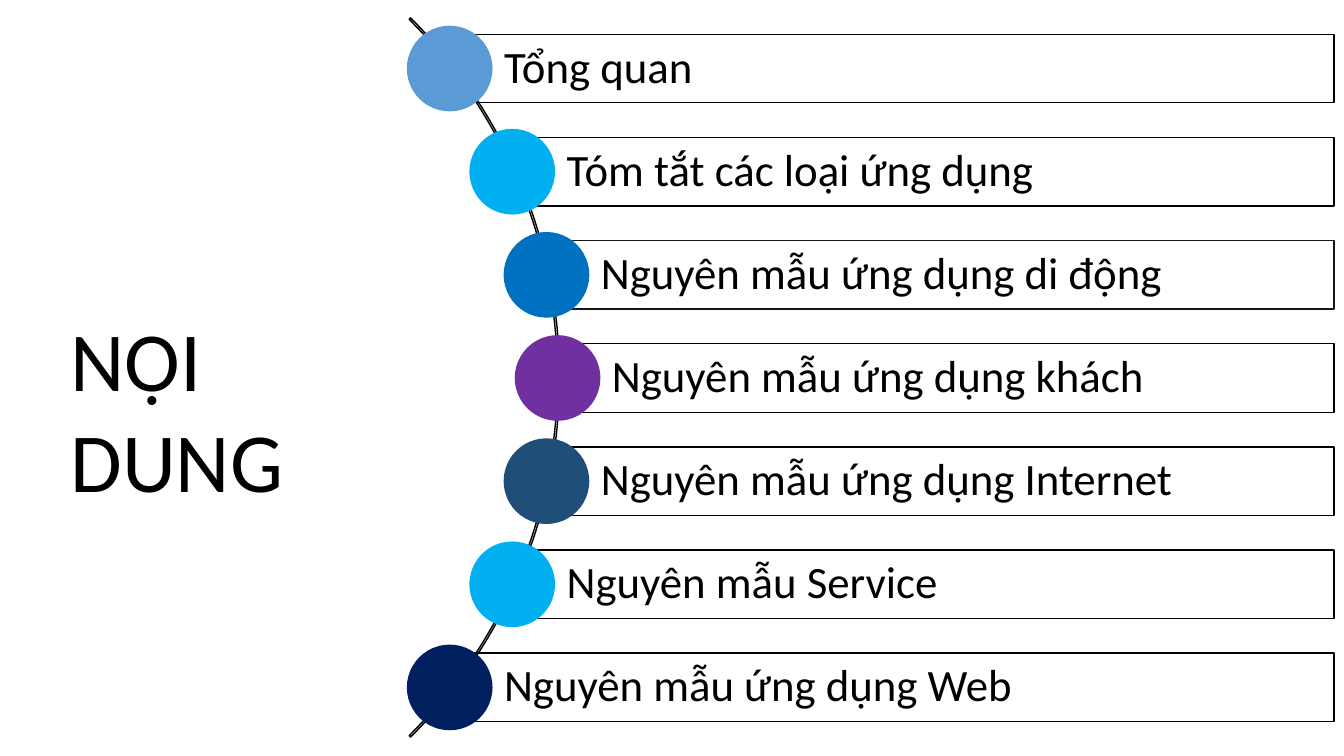
from pptx import Presentation
from pptx.dml.color import RGBColor
from pptx.enum.shapes import MSO_SHAPE
from pptx.enum.text import MSO_ANCHOR, MSO_AUTO_SIZE, PP_ALIGN
from pptx.util import Inches, Pt

COLORS = {
    "black": "000000",
    "ink": "181717",
    "steel": "5B9BD5",
    "sky": "00B0F0",
    "blue": "0070C0",
    "plum": "7030A0",
    "slate": "1F4E79",
    "navy": "002060",
}
TOPICS = [
    ("Tổng quan", "steel", "black"),
    ("Tóm tắt các loại ứng dụng", "sky", "black"),
    ("Nguyên mẫu ứng dụng di động", "blue", "ink"),
    ("Nguyên mẫu ứng dụng khách", "plum", "black"),
    ("Nguyên mẫu ứng dụng Internet", "slate", "black"),
    ("Nguyên mẫu Service", "sky", "black"),
    ("Nguyên mẫu ứng dụng Web", "navy", "black"),
]
# Left edge of a bar by its distance from the middle row
LEFTS = [5.53, 5.42, 5.08, 4.46]
RIGHT = 13.23
PITCH = 6.14 / 6
BAR = 0.68
DOT = 0.85


def add_shape(kind, left, top, width, height, fill=None, line=None):
    shape = slide.shapes.add_shape(
        kind, Inches(left), Inches(top), Inches(width), Inches(height))
    shape.shadow.inherit = False
    if fill:
        shape.fill.solid()
        shape.fill.fore_color.rgb = RGBColor.from_string(COLORS[fill])
    else:
        shape.fill.background()
    if line:
        shape.line.color.rgb = RGBColor.from_string(COLORS[line])
        shape.line.width = Pt(1)
    else:
        shape.line.fill.background()
    return shape


def set_text(frame, text, size):
    frame.word_wrap = True
    frame.text = text
    para = frame.paragraphs[0]
    para.alignment = PP_ALIGN.LEFT
    font = para.runs[0].font
    font.name = "Calibri"
    font.size = Pt(size)
    font.color.rgb = RGBColor.from_string(COLORS["black"])


deck = Presentation()
deck.slide_width = Inches(13.33)
deck.slide_height = Inches(7.5)
slide = deck.slides.add_slide(deck.slide_layouts[6])

title = slide.shapes.add_textbox(
    Inches(0.6), Inches(3), Inches(3.78), Inches(1.11))
set_text(title.text_frame, "NỘI DUNG", 60)
title.text_frame.auto_size = MSO_AUTO_SIZE.SHAPE_TO_FIT_TEXT

arc = add_shape(MSO_SHAPE.BLOCK_ARC, -4.54, -1.3, 10.09, 10.09, line="black")
for i, value in enumerate([189, 27, 0.002]):
    arc.adjustments[i] = value

middle = len(TOPICS) // 2
for row, (text, fill, line) in enumerate(TOPICS):
    left = LEFTS[abs(row - middle)]
    top = 0.34 + row * PITCH
    bar = add_shape(
        MSO_SHAPE.RECTANGLE, left, top, RIGHT - left, BAR, line=line)
    frame = bar.text_frame
    set_text(frame, text, 32)
    frame.paragraphs[0].line_spacing = 0.9
    frame.vertical_anchor = MSO_ANCHOR.MIDDLE
    frame.margin_left = Inches(0.54)
    frame.margin_top = frame.margin_right = frame.margin_bottom = Inches(0.09)
    add_shape(MSO_SHAPE.OVAL, left - DOT / 2, top + (BAR - DOT) / 2,
              DOT, DOT, fill=fill)

deck.save("out.pptx")
